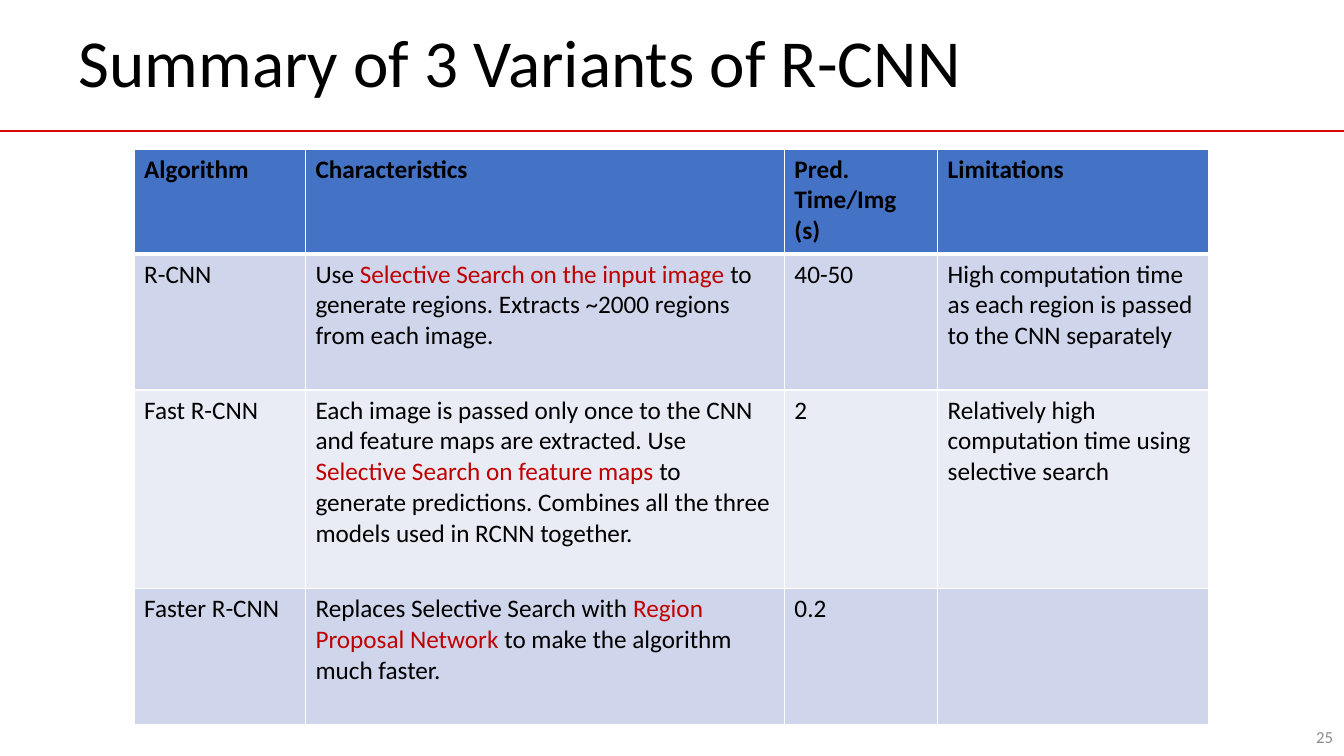
from lxml.etree import SubElement
from pptx import Presentation
from pptx.dml.color import RGBColor
from pptx.enum.shapes import MSO_CONNECTOR as Link
from pptx.enum.text import MSO_ANCHOR as Anchor, MSO_AUTO_SIZE as Fit, PP_ALIGN as Align
from pptx.oxml.ns import qn
from pptx.util import Inches, Pt

BLACK = RGBColor(0x00, 0x00, 0x00)
GRAY = RGBColor(0x8C, 0x8C, 0x8C)
RED = RGBColor(0xC0, 0x00, 0x00)
RULE = RGBColor(0xD4, 0x08, 0x05)
WHITE = RGBColor(0xFF, 0xFF, 0xFF)
HEAD = RGBColor(0x44, 0x72, 0xC4)
BANDS = RGBColor(0xE9, 0xEB, 0xF5), RGBColor(0xCF, 0xD5, 0xEA)

WIDTHS = 1.7, 4.75, 1.52, 2.69
HEIGHTS = 1.04, 1.35, 1.97, 1.35
ROWS = [
    ("Algorithm", "Characteristics", "Pred. Time/Img (s)", "Limitations"),
    ("R-CNN",
     "Use |Selective Search on the input image| to generate regions. "
     "Extracts ~2000 regions from each image.",
     "40-50",
     "High computation time as each region is passed to the CNN separately"),
    ("Fast R-CNN",
     "Each image is passed only once to the CNN and feature maps are extracted. Use"
     "| Selective Search on feature maps |to generate predictions. "
     "Combines all the three models used in RCNN together.",
     "2",
     "Relatively high computation time using selective search"),
    ("Faster R-CNN",
     "Replaces Selective Search with |Region Proposal Network |"
     "to make the algorithm much faster.",
     "0.2",
     ""),
]


class Deck:
    """Holds the text style and the current slide."""

    def __init__(self):
        self.show = Presentation()
        self.show.slide_width, self.show.slide_height = Inches(13.33), Inches(7.5)
        self.slide = self.show.slides.add_slide(self.show.slide_layouts[5])
        self.style = {"name": "Calibri", "size": Pt(18), "bold": False}

    def words(self, para, text, color=BLACK, **style):
        for i, part in enumerate(text.split("|")):
            run = para.add_run()
            run.text = part
            for key, value in {**self.style, **style}.items():
                setattr(run.font, key, value)
            run.font.color.rgb = RED if i % 2 else color

    def place(self, shape, box, align):
        for key, value in zip(("left", "top", "width", "height"), box):
            setattr(shape, key, Inches(value))
        frame = shape.text_frame
        form = {"word_wrap": True, "auto_size": Fit.NONE, "vertical_anchor": Anchor.MIDDLE}
        for key, value in form.items():
            setattr(frame, key, value)
        para = frame.paragraphs[0]
        para.alignment = align
        return para

    def title(self, text, box):
        para = self.place(self.slide.shapes.title, box, Align.LEFT)
        para.line_spacing = 0.9
        self.words(para, text, size=Pt(48))

    def label(self, text, box):
        shape = self.slide.shapes.add_textbox(*map(Inches, box))
        self.words(self.place(shape, box, Align.RIGHT), text, GRAY, size=Pt(12))

    def rule(self, y):
        line = self.slide.shapes.add_connector(
            Link.STRAIGHT, 0, Inches(y), self.show.slide_width, Inches(y))
        line.line.color.rgb = RULE
        line.line.width = Pt(1)
        SubElement(line._element.spPr, qn("a:effectLst"))

    def edge(self, cell, side, width):
        line = SubElement(cell._tc.get_or_add_tcPr(), qn("a:" + side), w=str(Pt(width)))
        fill = SubElement(line, qn("a:solidFill"))
        SubElement(fill, qn("a:srgbClr"), val=str(WHITE))

    def table(self, rows, x, y):
        grid = self.slide.shapes.add_table(
            len(rows), len(WIDTHS), Inches(x), Inches(y),
            Inches(sum(WIDTHS)), Inches(sum(HEIGHTS))).table
        for col, width in zip(grid.columns, WIDTHS):
            col.width = Inches(width)
        for r, row in enumerate(rows):
            grid.rows[r].height = Inches(HEIGHTS[r])
            for c, text in enumerate(row):
                cell = grid.cell(r, c)
                for side in ("lnL", "lnR", "lnT", "lnB"):
                    thick = (r, side) in ((0, "lnB"), (1, "lnT"))
                    self.edge(cell, side, 3 if thick else 1)
                cell.fill.solid()
                cell.fill.fore_color.rgb = BANDS[r % 2] if r else HEAD
                if text:
                    self.words(cell.text_frame.paragraphs[0], text, bold=r == 0)


def main():
    deck = Deck()
    deck.rule(1.3)
    deck.title("Summary of 3 Variants of R-CNN", (0.68, 0.07, 11.97, 1.17))
    deck.label("25", (10.32, 7.11, 3, 0.4))
    deck.table(ROWS, 1.33, 1.48)
    deck.show.save("out.pptx")


if __name__ == "__main__":
    main()
